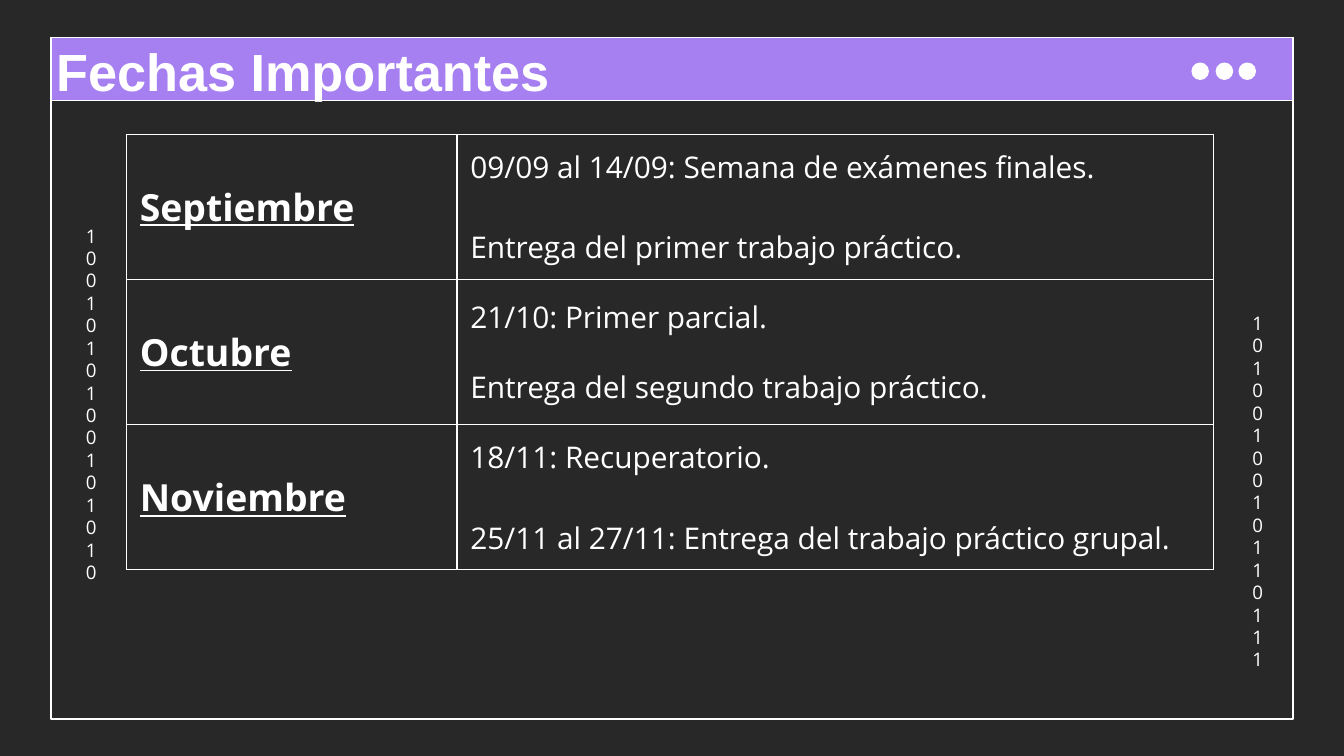
from lxml import etree
from pptx import Presentation
from pptx.dml.color import RGBColor
from pptx.enum import shapes, text
from pptx.oxml import ns
from pptx.util import Inches, Pt

COLORS = {"background": "292828", "bar": "A67FF1", "white": "FFFFFF"}
BODY_FONT = "Open Sans"
LINE_WIDTH = Pt(0.75)

# Month, gap in points between its events, events
MONTHS = [
    ("Septiembre", 21.5, ["09/09 al 14/09: Semana de exámenes finales.",
                          "Entrega del primer trabajo práctico."]),
    ("Octubre", 16, ["21/10: Primer parcial.",
                     "Entrega del segundo trabajo práctico."]),
    ("Noviembre", 21.5, ["18/11: Recuperatorio.",
                         "25/11 al 27/11: Entrega del trabajo práctico grupal."]),
]


def rgb(name):
    return RGBColor.from_string(COLORS[name])


def add_outlined(page, kind, left, top, width, height, fill=None):
    shape = page.shapes.add_shape(
        kind, Inches(left), Inches(top), Inches(width), Inches(height))
    shape.shadow.inherit = False
    shape.line.color.rgb = rgb("white")
    shape.line.width = LINE_WIDTH
    if fill:
        shape.fill.solid()
        shape.fill.fore_color.rgb = rgb(fill)
    else:
        shape.fill.background()


def write(para, content, size, font=BODY_FONT, bold=False, underline=False,
          align=text.PP_ALIGN.LEFT, after=0):
    para.alignment = align
    para.space_after = Pt(after)
    span = para.add_run()
    span.text = content
    span.font.name = font
    span.font.size = Pt(size)
    span.font.bold = bold
    span.font.underline = underline
    span.font.color.rgb = rgb("white")


def add_text(page, content, left, top, width, height, **style):
    box = page.shapes.add_textbox(
        Inches(left), Inches(top), Inches(width), Inches(height))
    frame = box.text_frame
    frame.word_wrap = True
    frame.vertical_anchor = text.MSO_ANCHOR.TOP
    frame.margin_left = frame.margin_right = Inches(0.1)
    frame.margin_top = frame.margin_bottom = Inches(0.1)
    write(frame.paragraphs[0], content, **style)


def format_cell(cell):
    cell.vertical_anchor = text.MSO_ANCHOR.MIDDLE
    cell.margin_left = cell.margin_right = Inches(0.1)
    cell.margin_top = cell.margin_bottom = 0
    properties = cell._tc.get_or_add_tcPr()
    for side in ("a:lnL", "a:lnR", "a:lnT", "a:lnB"):
        border = etree.SubElement(properties, ns.qn(side), w=str(LINE_WIDTH))
        fill = etree.SubElement(border, ns.qn("a:solidFill"))
        etree.SubElement(fill, ns.qn("a:srgbClr"), val=COLORS["white"])
    cell.fill.background()


def add_calendar(page):
    table = page.shapes.add_table(
        len(MONTHS), 2, Inches(0.94), Inches(1), Inches(8.09), Inches(3.24)).table
    table.first_row = table.horz_banding = False
    for column, width in zip(table.columns, (2.46, 5.63)):
        column.width = Inches(width)
    for row, (month, gap, events) in zip(table.rows, MONTHS):
        row.height = Inches(1.08)
        for cell in row.cells:
            format_cell(cell)
        name_cell, events_cell = row.cells
        write(name_cell.text_frame.paragraphs[0], month, 20,
              bold=True, underline=True)
        frame = events_cell.text_frame
        for index, event in enumerate(events):
            para = frame.add_paragraph() if index else frame.paragraphs[0]
            write(para, event, 16, after=gap)


def main():
    deck = Presentation()
    # Widescreen, 16 to 9
    deck.slide_width, deck.slide_height = Inches(10), Inches(10 * 9 / 16)
    page = deck.slides.add_slide(deck.slide_layouts[6])
    page.background.fill.solid()
    page.background.fill.fore_color.rgb = rgb("background")

    # Window frame, title bar and its three dots
    rectangle = shapes.MSO_SHAPE.RECTANGLE
    add_outlined(page, rectangle, 0.38, 0.28, 9.24, 5.07)
    add_outlined(page, rectangle, 0.38, 0.28, 9.24, 0.47, fill="bar")
    for left in (8.87, 9.05, 9.22):
        add_outlined(page, shapes.MSO_SHAPE.OVAL, left, 0.47, 0.12, 0.12,
                     fill="white")

    # Binary digits, one per line in narrow boxes
    for digits, left, top in (("1010010010110111", 9.22, 2.22),
                              ("1001010100101010", 0.54, 1.57)):
        add_text(page, digits, left, top, 0.24, 2.8, size=10,
                 align=text.PP_ALIGN.CENTER)

    # Title
    add_text(page, "Fechas Importantes", 0.32, 0.19, 8.43, 0.63,
             size=28, font="Arial", bold=True)

    # Dates by month
    add_calendar(page)

    deck.save("out.pptx")


if __name__ == "__main__":
    main()
